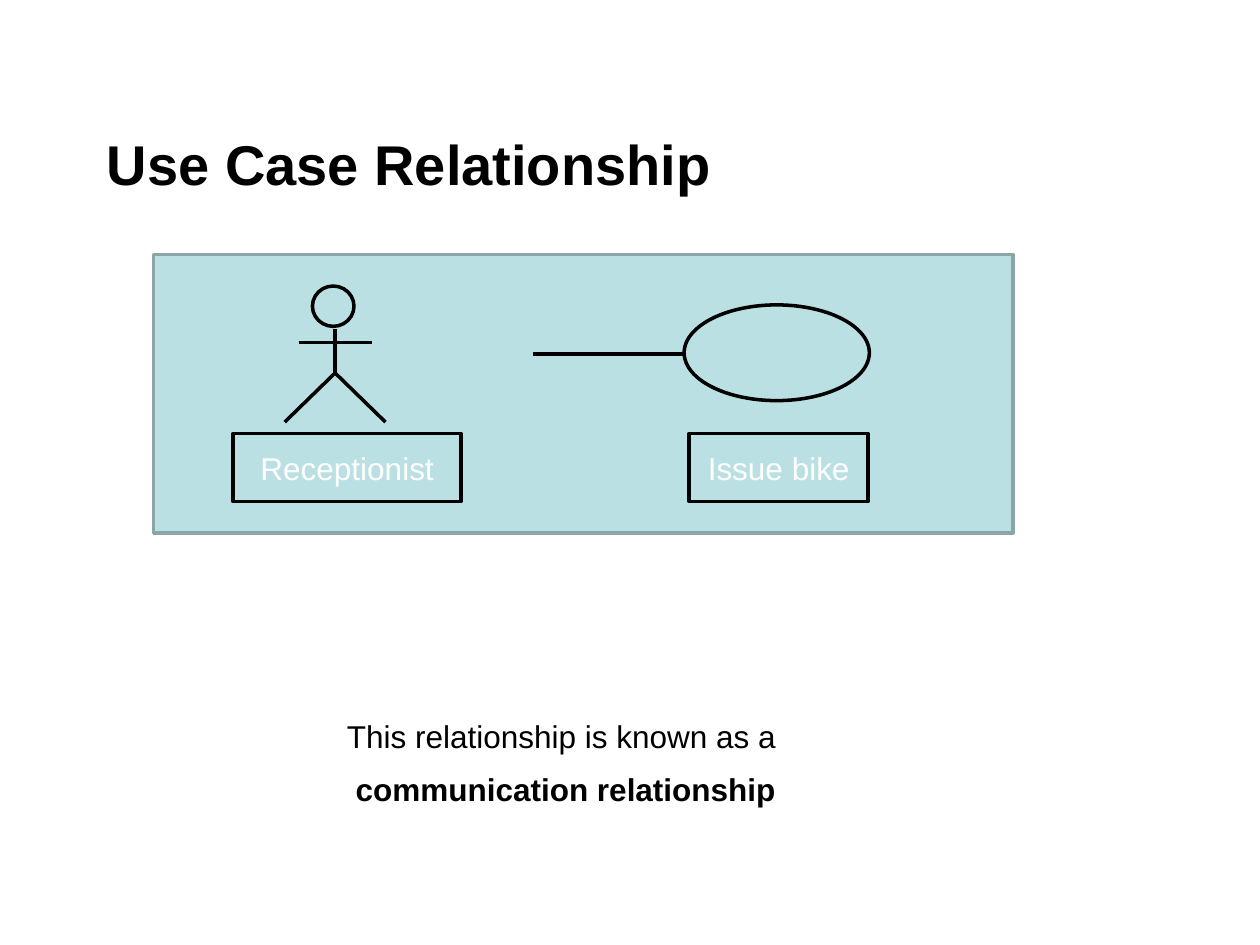
from dataclasses import dataclass

from lxml.etree import SubElement
from pptx import Presentation
from pptx.dml.color import RGBColor
from pptx.enum.shapes import MSO_CONNECTOR, MSO_SHAPE
from pptx.enum.text import MSO_ANCHOR, PP_ALIGN
from pptx.oxml.ns import qn
from pptx.util import Pt

PX = 9144  # EMU per px, at 100 px to the inch
FONT = "Arial"
BLACK, WHITE, PALE, EDGE = "000000", "FFFFFF", "BBE0E3", "8AA6A8"


@dataclass
class Box:
    kind: MSO_SHAPE
    x: int
    y: int
    w: int
    h: int
    line: str = BLACK
    text: str = ""


@dataclass
class Line:
    x1: int
    y1: int
    x2: int
    y2: int


def rgb(color: str) -> RGBColor:
    return RGBColor.from_string(color)


def set_font(p, size: int, color: str, bold: bool = False) -> None:
    p.font.name = FONT
    p.font.size = Pt(size)
    p.font.bold = bold
    p.font.color.rgb = rgb(color)


def paint(sp, line: str) -> None:
    sp.shadow.inherit = False
    sp.fill.solid()
    sp.fill.fore_color.rgb = rgb(PALE)
    sp.line.color.rgb = rgb(line)
    sp.line.width = Pt(2)


def draw_box(s, box: Box) -> None:
    sp = s.shapes.add_shape(box.kind, box.x * PX, box.y * PX, box.w * PX, box.h * PX)
    paint(sp, box.line)
    if box.text:
        tf = sp.text_frame
        tf.vertical_anchor = MSO_ANCHOR.MIDDLE
        p = tf.paragraphs[0]
        p.text = box.text
        p.alignment = PP_ALIGN.CENTER
        set_font(p, 18, WHITE)


def draw_line(s, line: Line) -> None:
    cn = s.shapes.add_connector(MSO_CONNECTOR.STRAIGHT, line.x1 * PX, line.y1 * PX,
                                line.x2 * PX, line.y2 * PX)
    cn.line.color.rgb = rgb(BLACK)
    cn.line.width = Pt(2)
    SubElement(cn._element.spPr, qn("a:effectLst"))


def add_text_frame(s, x: int, y: int, w: int, h: int):
    tf = s.shapes.add_textbox(x * PX, y * PX, w * PX, h * PX).text_frame
    tf.word_wrap = True
    return tf


BOXES = [
    Box(MSO_SHAPE.RECTANGLE, 122, 202, 682, 221, EDGE),
    Box(MSO_SHAPE.OVAL, 543, 242, 147, 76),
    Box(MSO_SHAPE.RECTANGLE, 547, 344, 142, 54, text="Issue bike"),
    Box(MSO_SHAPE.OVAL, 248, 227, 33, 32),
    Box(MSO_SHAPE.RECTANGLE, 185, 344, 181, 54, text="Receptionist"),
]
LINES = [
    Line(266, 261, 266, 296),  # body
    Line(237, 272, 295, 272),  # arms
    Line(423, 281, 542, 281),  # communication link
]
LEGS = [(226, 335), (266, 296), (306, 335)]


def main() -> None:
    prs = Presentation()
    prs.slide_width, prs.slide_height = 1000 * PX, 750 * PX
    s = prs.slides.add_slide(prs.slide_layouts[6])

    # Use case diagram
    for box in BOXES:
        draw_box(s, box)
    for line in LINES:
        draw_line(s, line)
    builder = s.shapes.build_freeform(*LEGS[0], scale=PX)
    builder.add_line_segments(LEGS[1:], close=False)
    paint(builder.convert_to_shape(), BLACK)

    # Title
    tf = add_text_frame(s, 75, 67, 850, 125)
    tf.vertical_anchor = MSO_ANCHOR.MIDDLE
    p = tf.paragraphs[0]
    p.text = "Use Case Relationship"
    set_font(p, 32, BLACK, bold=True)

    # Explanation
    tf = add_text_frame(s, 75, 564, 748, 127)
    first, second = tf.paragraphs[0], tf.add_paragraph()
    first.text = "This relationship is known as a "
    second.text = "communication relationship"
    second.space_before = Pt(9)
    for p in (first, second):
        p.alignment = PP_ALIGN.CENTER
        set_font(p, 18, BLACK, bold=p is second)

    prs.save("out.pptx")


if __name__ == "__main__":
    main()
